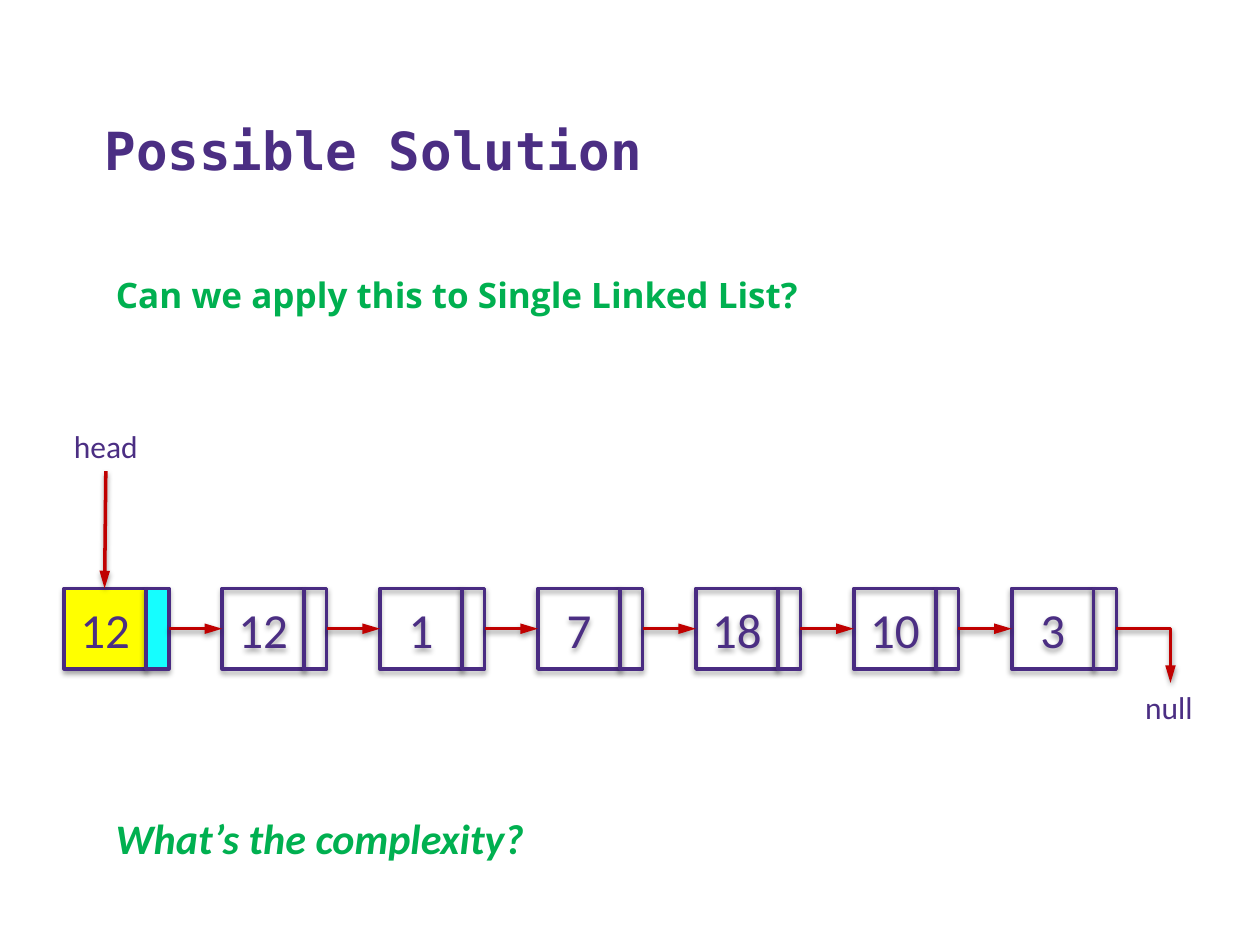
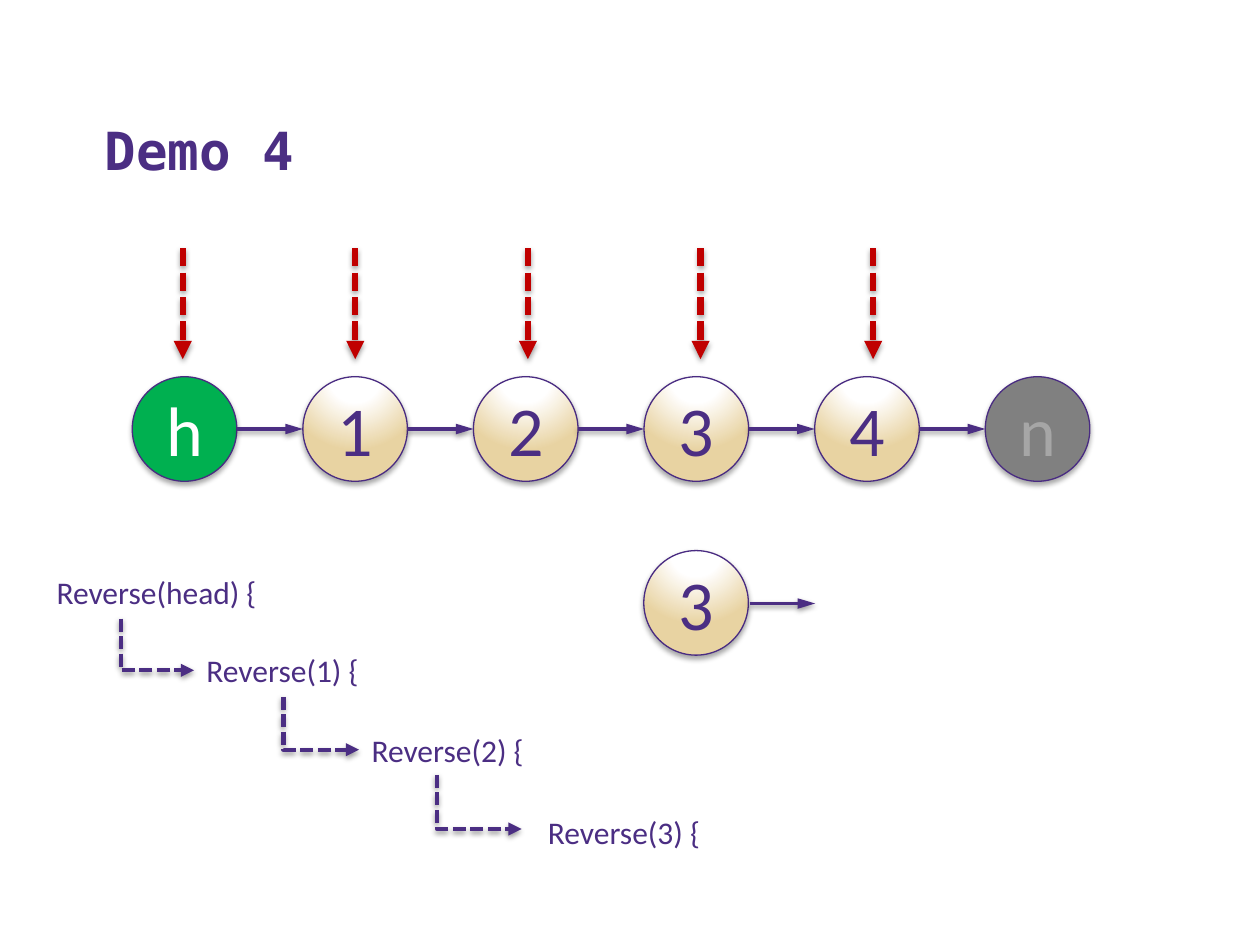
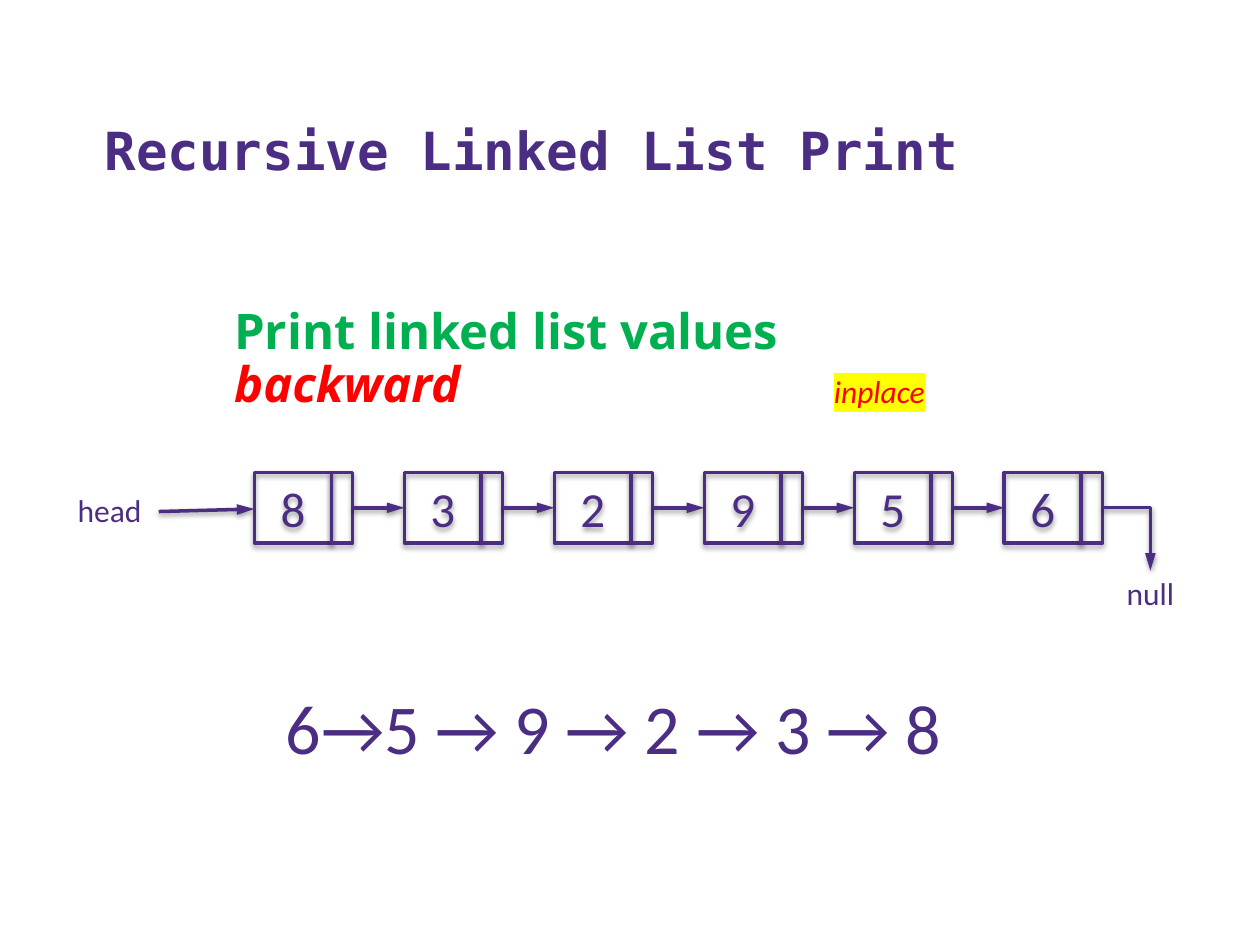
import pptx
import pptx.util
import pptx.oxml
import pptx.oxml.ns
import pptx.dml.color
import pptx.enum.dml
import pptx.enum.shapes
import pptx.enum.text

Inches = pptx.util.Inches
Kind = pptx.enum.shapes.MSO_SHAPE
Link = pptx.enum.shapes.MSO_CONNECTOR
Align = pptx.enum.text.PP_ALIGN
Anchor = pptx.enum.text.MSO_ANCHOR
DASH = pptx.enum.dml.MSO_LINE.SQUARE_DOT

COLORS = {
    "ink": "4B2E83", "edge": "492B82", "green": "00B050", "crimson": "C00000",
    "red": "FF0000", "yellow": "FFFF00", "cyan": "15FEFF", "white": "FFFFFF",
    "sand": "E8D3A2", "gray": "808080", "pale": "A6A6A6", "black": "000000",
}
TITLE = {"name": "DejaVu Sans Mono", "size": 30, "bold": True, "color": "ink"}
HEAD = {"name": "Open Sans", "size": 20, "bold": True, "italic": False, "color": "green"}
LABEL = {"name": "Calibri", "size": 18, "color": "ink"}
CELL = {**LABEL, "size": 28}
BIG = {**LABEL, "size": 40}


def rgb(name):
    return pptx.dml.color.RGBColor.from_string(COLORS[name])


def xml(tag, body):
    return pptx.oxml.parse_xml(f"<a:{tag} {pptx.oxml.ns.nsdecls('a')}{body}")


def place(shape, box):
    for key, val in zip(("left", "top", "width", "height"), box):
        setattr(shape, key, Inches(val))


def style(font, form):
    for key, val in form.items():
        if key == "color":
            font.color.rgb = rgb(val)
        else:
            setattr(font, key, pptx.util.Pt(val) if key == "size" else val)


def write(frame, runs, align=Align.LEFT, anchor=Anchor.TOP):
    """Fill a frame with one paragraph made of (text, format) runs."""
    frame.word_wrap = True
    frame.auto_size = pptx.enum.text.MSO_AUTO_SIZE.NONE
    frame.vertical_anchor = anchor
    para = frame.paragraphs[0]
    para.alignment = align
    for text, form in runs:
        run = para.add_run()
        run.text = text
        style(run.font, form)
    return para


def shade(shape, alpha, dist):
    """Give a shape or line a soft shadow straight below it."""
    shape._element.spPr.append(xml("effectLst", (
        f'><a:outerShdw blurRad="{pptx.util.Pt(3.1)}" dist="{pptx.util.Pt(dist)}"'
        ' dir="5400000" rotWithShape="0">'
        f'<a:srgbClr val="{COLORS["black"]}"><a:alpha val="{alpha}000"/></a:srgbClr>'
        "</a:outerShdw></a:effectLst>")))


def glow(shape):
    """Fill a ball with the white to sand round gradient."""
    stops = "".join(
        f'<a:gs pos="{pos}000"><a:srgbClr val="{COLORS[name]}"/></a:gs>'
        for pos, name in ((0, "white"), (35, "white"), (100, "sand")))
    shape._element.spPr.append(xml("gradFill", (
        f' rotWithShape="1"><a:gsLst>{stops}</a:gsLst><a:path path="circle">'
        '<a:fillToRect l="50000" t="-80000" r="50000" b="180000"/>'
        "</a:path></a:gradFill>")))


def node(slide, kind, box, text, form, fill=None, edge="edge", width=2):
    shape = slide.shapes.add_shape(kind, *map(Inches, box))
    if fill == "glow":
        glow(shape)
    elif fill:
        shape.fill.solid()
        shape.fill.fore_color.rgb = rgb(fill)
    else:
        shape.fill.background()
    shape.line.color.rgb = rgb(edge)
    shape.line.width = pptx.util.Pt(width)
    shade(shape, 35, 1.8)
    if text:
        write(shape.text_frame, [(text, form)], Align.CENTER, Anchor.MIDDLE)


def arrow(slide, start, end, color="ink", width=2, dash=None, turn=None):
    """Draw an arrow; turn is "across" or "down", its first direction."""
    kind = Link.ELBOW if turn else Link.STRAIGHT
    line = slide.shapes.add_connector(kind, *map(Inches, (*start, *end)))
    geom = line._element.spPr.prstGeom
    if turn == "across":
        geom.set("prst", "bentConnector2")
    elif turn == "down":
        for old in list(geom):
            geom.remove(old)
        geom.append(xml("avLst", '><a:gd name="adj1" fmla="val 0"/></a:avLst>'))
    line.line.color.rgb = rgb(color)
    line.line.width = pptx.util.Pt(width)
    if dash:
        line.line.dash_style = dash
    size = "med" if dash else "lg"
    line.line._get_or_add_ln().append(
        xml("tailEnd", f' type="triangle" w="med" len="{size}"/>'))
    shade(line, 38, 1.6)


def label(slide, box, text, form=LABEL, align=Align.LEFT):
    shape = slide.shapes.add_textbox(*map(Inches, box))
    return write(shape.text_frame, [(text, form)], align)


def start_slide(deck, title, layout=5):
    slide = deck.slides.add_slide(deck.slide_layouts[layout])
    place(slide.shapes.title, (0.73, 0.41, 8.95, 1.08))
    write(slide.shapes.title.text_frame, [(title, TITLE)], anchor=Anchor.BOTTOM)
    return slide


def heading(shape, runs):
    para = write(shape.text_frame, runs)
    para.line_spacing = 0.9
    para.space_before = pptx.util.Pt(0)
    return para


def chain(slide, box, values, cell, drop, edge, color, fills=(None, None)):
    """Draw a linked list across the box; fills colour the first node."""
    left, top, width, height = box
    slot = round(cell * 0.28, 2)
    pitch = (width - cell - slot) / (len(values) - 1)
    mid = top + height / 2
    for pos, value in enumerate(values):
        x = left + pos * pitch
        main, side = fills if pos == 0 else (None, None)
        node(slide, Kind.RECTANGLE, (x, top, cell, height), value, CELL, main, edge)
        node(slide, Kind.RECTANGLE, (x + cell, top, slot, height), "", CELL, side, edge)
        if pos:
            arrow(slide, (x - pitch + cell + slot, mid), (x, mid), color)
    end = left + width
    arrow(slide, (end, mid), (end + drop[0], mid + drop[1]), color, turn="across")


def balls(slide, box, names):
    left, top, width, size = box
    pitch = (width - size) / (len(names) - 1)
    looks = {"h": ("green", "white"), "n": ("gray", "pale")}
    for pos, name in enumerate(names):
        x = left + pos * pitch
        fill, color = looks.get(name, ("glow", "ink"))
        ball(slide, (x, top, size, size), name, fill, color)
        if pos:
            mid = top + size / 2
            arrow(slide, (x - pitch + size, mid), (x, mid))


def ball(slide, box, name, fill="glow", color="ink"):
    node(slide, Kind.OVAL, box, name, {**BIG, "color": color}, fill, width=0.75)


def calls(slide, steps):
    """Write the nested calls, each reached by a dashed elbow."""
    for text, box, start, end in steps:
        label(slide, box, text)
        if start:
            arrow(slide, start, end, width=2.5, dash=DASH, turn="down")


def solution(deck):
    slide = start_slide(deck, "Possible Solution", layout=1)
    body = slide.placeholders[1]
    place(body, (0.82, 2.16, 8.44, 0.63))
    para = heading(body, [("Can we apply this to Single Linked List?", HEAD)])
    props = para._p.get_or_add_pPr()
    props.set("marL", "0")
    props.set("indent", "0")
    props.append(xml("buNone", "/>"))
    chain(slide, (0.51, 4.67, 8.35, 0.64), ("12", "12", "1", "7", "18", "10", "3"),
          0.65, (0.43, 0.43), "edge", "crimson", ("yellow", "cyan"))
    label(slide, (0.43, 3.34, 0.82, 0.4), "head", align=Align.CENTER)
    arrow(slide, (0.84, 3.74), (0.83, 4.67), "crimson")
    label(slide, (8.99, 5.41, 0.6, 0.4), "null")
    label(slide, (0.82, 6.4, 3.47, 0.5), "What’s the complexity?",
          {**LABEL, "size": 24, "bold": True, "italic": True, "color": "green"})


def demo(deck):
    slide = start_slide(deck, "Demo 4")
    balls(slide, (1.05, 2.99, 7.6, 0.83), "h1234n")
    for pos in range(5):
        x = 1.45 + 1.37 * pos
        arrow(slide, (x, 1.97), (x, 2.85), "crimson", 3.5, DASH)
    ball(slide, (5.11, 4.37, 0.83, 0.83), "3")
    arrow(slide, (5.95, 4.79), (6.47, 4.79))
    calls(slide, (
        ("Reverse(head) {", (0.35, 4.5, 1.81, 0.4), None, None),
        ("Reverse(1) {", (1.54, 5.12, 1.42, 0.4), (0.96, 4.91), (1.54, 5.32)),
        ("Reverse(2) {", (2.85, 5.75, 1.42, 0.4), (2.25, 5.53), (2.85, 5.95)),
        ("Reverse(3) {", (4.25, 6.4, 1.42, 0.4), (3.47, 6.15), (4.14, 6.58)),
    ))


def printing(deck):
    slide = start_slide(deck, "Recursive Linked List Print")
    large = {**HEAD, "size": 28}
    box = slide.shapes.add_textbox(*map(Inches, (1.76, 2.39, 6.25, 0.68)))
    heading(box, [("Print linked list values ", large),
                  ("backward", {**large, "italic": True, "color": "red"})])
    chain(slide, (2.02, 3.75, 6.73, 0.56), "832956", 0.61, (0.38, 0.5), "ink", "ink")
    label(slide, (0.48, 3.85, 0.78, 0.4), "head", align=Align.CENTER)
    arrow(slide, (1.26, 4.06), (2.02, 4.04))
    label(slide, (8.74, 4.51, 0.78, 0.4), "null", align=Align.CENTER)
    label(slide, (2.17, 5.38, 5.66, 0.77), "6→5 → 9 → 2 → 3 → 8", BIG)
    note = label(slide, (6.52, 2.9, 0.96, 0.4), "inplace",
                 {**LABEL, "italic": True, "color": "red"})
    fill = note.runs[0]._r.rPr.find(pptx.oxml.ns.qn("a:solidFill"))
    fill.addnext(xml("highlight", f'><a:srgbClr val="{COLORS["yellow"]}"/></a:highlight>'))


def main():
    deck = pptx.Presentation()
    deck.slide_width, deck.slide_height = Inches(10), Inches(7.5)
    for build in (solution, demo, printing):
        build(deck)
    deck.save("out.pptx")


if __name__ == "__main__":
    main()
